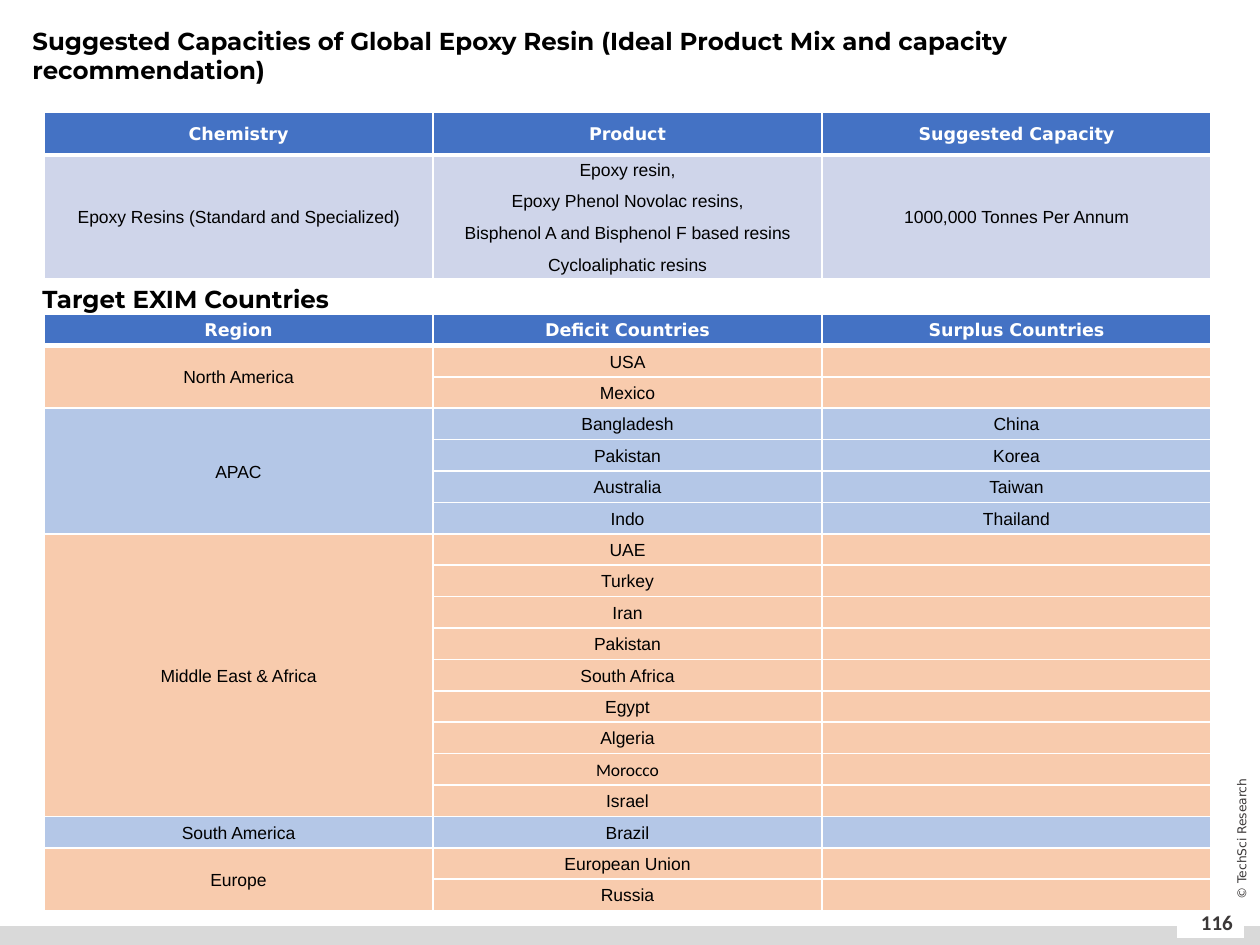
from dataclasses import dataclass, field
from typing import Any

from lxml import etree
from pptx import Presentation, util as u
from pptx.dml.color import RGBColor
from pptx.enum import shapes, text
from pptx.oxml.ns import qn

EMU_PER_PX = 914400 / 126
C = {"white": "FFFFFF", "black": "000000", "gray": "D9D9D9", "dark": "3B3838",
     "header": "4472C4", "body": "CFD5EA", "peach": "F8CBAD", "blue": "B4C7E7"}
HEADER = {"size": u.Pt(10), "name": "DejaVu Sans", "bold": True}
BODY = {"size": u.Pt(10), "name": "Arial", "bold": False}
HEADING = {"size": u.Pt(14), "name": "Montserrat", "bold": True}
CENTERED = {"alignment": text.PP_ALIGN.CENTER}
HEADING_PARA = {"line_spacing": u.Pt(17)}
CELL_PARA = {**CENTERED, "line_spacing": 1.1, "space_after": u.Pt(6)}
COLUMNS, TABLE_LEFT, TABLE_WIDTH = 3, 44, 1167


@dataclass
class Bar:
    x: int
    y: int
    w: int
    h: int
    color: str


@dataclass
class Label:
    x: int
    y: int
    w: int
    h: int
    words: str
    font: dict[str, Any]
    color: str = "black"
    para: dict[str, Any] = field(default_factory=lambda: HEADING_PARA)
    rotation: int = 0


@dataclass
class Region:
    name: str
    deficit: list[str]
    surplus: list[str] = field(default_factory=list)


BARS = [Bar(0, 926, 1260, 19, "gray"), Bar(1177, 910, 67, 28, "white")]
FOOTER = [
    Label(1186, 897, 62, 50, "116", {"size": u.Pt(12), "name": "Calibri", "bold": True},
          "dark", CENTERED),
    Label(1166, 829, 151, 20, "© TechSci Research", {"size": u.Pt(7), "name": "DejaVu Sans"},
          "dark", CENTERED, 270),
]
TITLE = Label(20, 34, 1230, 42, "Suggested Capacities of Global Epoxy Resin "
              "(Ideal Product Mix and capacity recommendation)", HEADING)
EXIM_HEADING = Label(30, 277, 1230, 42, "Target EXIM Countries", HEADING)
CAPACITY = [
    ["Chemistry", "Product", "Suggested Capacity"],
    ["Epoxy Resins (Standard and Specialized)",
     "Epoxy resin,\nEpoxy Phenol Novolac resins,\n"
     "Bisphenol A and Bisphenol F based resins\nCycloaliphatic resins",
     "1000,000 Tonnes Per Annum"],
]
EXIM_HEADER = ["Region", "Deficit Countries", "Surplus Countries"]
REGIONS = [
    Region("North America", ["USA", "Mexico"]),
    Region("APAC", ["Bangladesh", "Pakistan", "Australia", "Indo"],
           ["China", "Korea", "Taiwan", "Thailand"]),
    Region("Middle East & Africa", ["UAE", "Turkey", "Iran", "Pakistan", "South Africa",
                                    "Egypt", "Algeria", "Morocco", "Israel"]),
    Region("South America", ["Brazil"]),
    Region("Europe", ["European Union", "Russia"]),
]


def px(n: int) -> u.Emu:
    return u.Emu(round(n * EMU_PER_PX))


def rgb(color: str) -> RGBColor:
    return RGBColor.from_string(C[color])


def apply(obj: Any, values: dict[str, Any]) -> None:
    for name, value in values.items():
        setattr(obj, name, value)


def write(tf: Any, words: str, font: dict[str, Any], color: str, para: dict[str, Any]) -> None:
    """Fill a text frame, one paragraph for each line of words."""
    for i, line in enumerate(words.split("\n")):
        p = tf.paragraphs[0] if i == 0 else tf.add_paragraph()
        apply(p, para)
        if line:
            r = p.add_run()
            r.text = line
            apply(r.font, font)
            r.font.color.rgb = rgb(color)
        else:
            size = str(int(font["size"].pt * 100))
            etree.SubElement(p._p, qn("a:endParaRPr"), sz=size)


def draw_bar(s: Any, bar: Bar) -> None:
    sp = s.shapes.add_shape(shapes.MSO_SHAPE.RECTANGLE, px(bar.x), px(bar.y), px(bar.w), px(bar.h))
    sp.shadow.inherit = False
    sp.fill.solid()
    sp.fill.fore_color.rgb = rgb(bar.color)
    sp.line.fill.background()


def draw_label(s: Any, label: Label) -> None:
    sp = s.shapes.add_textbox(px(label.x), px(label.y), px(label.w), px(label.h))
    sp.rotation = label.rotation
    apply(sp.text_frame, {"word_wrap": True, "vertical_anchor": text.MSO_ANCHOR.MIDDLE})
    write(sp.text_frame, label.words, label.font, label.color, label.para)


def set_borders(cell: Any, widths: dict[str, int]) -> None:
    """Give a cell white borders, with widths in points by side."""
    for side, width in widths.items():
        ln = etree.SubElement(cell._tc.get_or_add_tcPr(), qn(f"a:ln{side}"), w=str(u.Pt(width)))
        fill = etree.SubElement(ln, qn("a:solidFill"))
        etree.SubElement(fill, qn("a:srgbClr"), val=C["white"])


def draw_table(s: Any, top: int, heights: list[int], rows: list[list[str]],
               fills: list[str]) -> Any:
    """Draw a table whose first row is the header; heights are in EMU."""
    table = s.shapes.add_table(len(rows), COLUMNS, px(TABLE_LEFT), px(top),
                               px(TABLE_WIDTH), u.Emu(sum(heights))).table
    for column in table.columns:
        column.width = px(TABLE_WIDTH // COLUMNS)
    for i, (height, words, fill) in enumerate(zip(heights, rows, fills)):
        table.rows[i].height = u.Emu(height)
        font, color = (HEADER, "white") if i == 0 else (BODY, "black")
        borders = {"L": 1, "R": 1, "T": 3 if i == 1 else 1, "B": 3 if i == 0 else 1}
        for j, content in enumerate(words):
            cell = table.cell(i, j)
            set_borders(cell, borders)
            apply(cell, {"margin_left": px(9), "margin_right": px(9), "margin_top": 0,
                         "margin_bottom": 0, "vertical_anchor": text.MSO_ANCHOR.MIDDLE})
            cell.fill.solid()
            cell.fill.fore_color.rgb = rgb(fill)
            cell_font = {**font, "name": "Calibri"} if content == "Morocco" else font
            write(cell.text_frame, content, cell_font, color, CELL_PARA)
    return table


def draw_exim_table(s: Any) -> None:
    rows, fills, spans = [EXIM_HEADER], ["header"], []
    for i, region in enumerate(REGIONS):
        spans.append((len(rows), len(rows) + len(region.deficit) - 1))
        for j, country in enumerate(region.deficit):
            surplus = region.surplus[j] if region.surplus else ""
            rows.append([region.name if j == 0 else "", country, surplus])
            fills.append("blue" if i % 2 else "peach")
    heights = [px(597) // len(rows)] * len(rows)
    table = draw_table(s, 314, heights, rows, fills)
    for first, last in spans:
        if last > first:
            table.cell(first, 0).merge(table.cell(last, 0))


def main() -> None:
    prs = Presentation()
    apply(prs, {"slide_width": px(1260), "slide_height": px(945)})
    s = prs.slides.add_slide(prs.slide_layouts[6])
    for bar in BARS:
        draw_bar(s, bar)
    for label in [*FOOTER, TITLE]:
        draw_label(s, label)
    draw_table(s, 112, [px(43), px(122)], CAPACITY, ["header", "body"])
    draw_label(s, EXIM_HEADING)
    draw_exim_table(s)
    prs.save("out.pptx")


if __name__ == "__main__":
    main()
